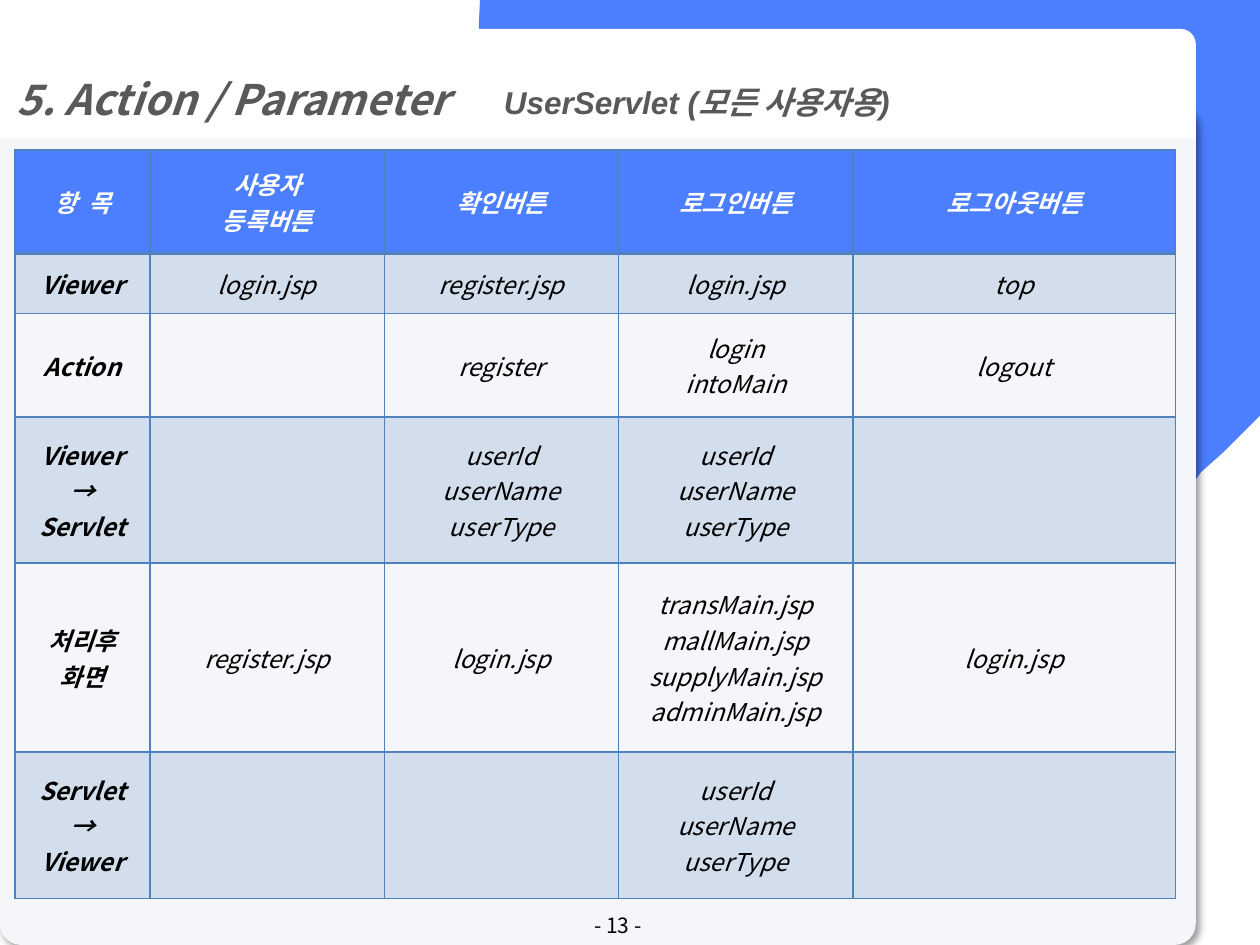
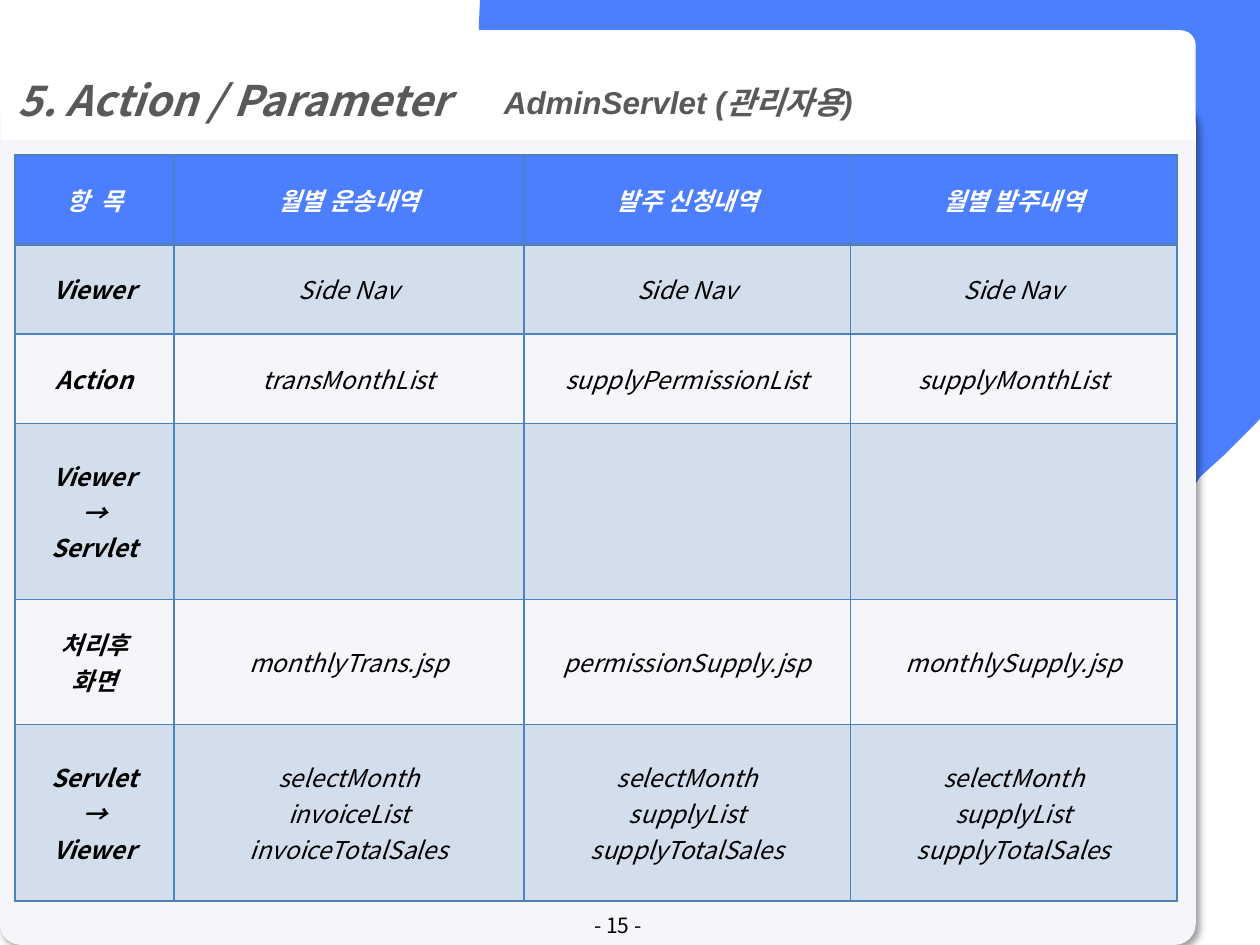
from lxml import etree
from pptx import Presentation
from pptx.dml.color import RGBColor
from pptx.enum.shapes import MSO_SHAPE
from pptx.enum.text import MSO_ANCHOR, MSO_AUTO_SIZE, PP_ALIGN
from pptx.oxml.ns import qn
from pptx.util import Inches, Pt

BLUE = RGBColor(0x4B, 0x7F, 0xFF)
BAND = RGBColor(0x4F, 0x81, 0xBD)
CARD = RGBColor(0xF5, 0xF6, 0xF9)
WHITE = RGBColor(0xFF, 0xFF, 0xFF)
BLACK = RGBColor(0, 0, 0)
GRAY = RGBColor(0x59, 0x59, 0x59)

FONT = "Noto Sans CJK KR"
SUBTITLE_FONT = "Arial"
LEFT, CENTER = PP_ALIGN.LEFT, PP_ALIGN.CENTER
MIDDLE = MSO_ANCHOR.MIDDLE
NO_AUTOFIT, GROW = MSO_AUTO_SIZE.NONE, MSO_AUTO_SIZE.SHAPE_TO_FIT_TEXT
ROUND_RECTANGLE = MSO_SHAPE.ROUNDED_RECTANGLE
ROUND_TOP = MSO_SHAPE.ROUND_2_SAME_RECTANGLE
TITLE_ONLY = 5

# Outline of the blue backdrop: points (x, y), or curves of three points
BACKDROP = [
    (10, 0), (10, 3.3), (9.72, 3.58), (9.53, 3.75), (9.49, 3.81),
    ((9.44, 3.87), (9.39, 3.92), (9.34, 3.97)), (6.43, 6.87),
    ((5.63, 7.66), (4.38, 7.71), (3.53, 7.02)), (3.37, 6.87), (3.22, 6.71),
    ((2.53, 5.86), (2.58, 4.62), (3.37, 3.83)), (4.88, 2.33), (4.54, 1.99),
    ((4.04, 1.5), (3.8, 0.86), (3.8, 0.21)), (3.81, 0),
]

ARROW = "\u2192"
TO_SERVLET = f"Viewer\n{ARROW}\nServlet"
TO_VIEWER = f"Servlet\n{ARROW}\nViewer"
RESULT = "처리후\n화면"
USER = "userId\nuserName\nuserType"
SUPPLY = "selectMonth\nsupplyList\nsupplyTotalSales"

USER_ROWS = [
    ["항  목", "사용자\n등록버튼", "확인버튼", "로그인버튼", "로그아웃버튼"],
    ["Viewer", "login.jsp", "register.jsp", "login.jsp", "top"],
    ["Action", "", "register", "login\nintoMain", "logout"],
    [TO_SERVLET, "", USER, USER, ""],
    [RESULT, "register.jsp", "login.jsp",
     "transMain.jsp\nmallMain.jsp\nsupplyMain.jsp\nadminMain.jsp", "login.jsp"],
    [TO_VIEWER, "", "", USER, ""],
]
ADMIN_ROWS = [
    ["항  목", "월별 운송내역", "발주 신청내역", "월별 발주내역"],
    ["Viewer", "Side Nav", "Side Nav", "Side Nav"],
    ["Action", "transMonthList", "supplyPermissionList", "supplyMonthList"],
    [TO_SERVLET, "", "", ""],
    [RESULT, "monthlyTrans.jsp", "permissionSupply.jsp", "monthlySupply.jsp"],
    [TO_VIEWER, "selectMonth\ninvoiceList\ninvoiceTotalSales", SUPPLY, SUPPLY],
]


def inches(*lengths):
    return [Inches(length) for length in lengths]


def format_text(frame, size, color, align, name=FONT, bold=False, italic=False,
                line_spacing=None):
    for paragraph in frame.paragraphs:
        paragraph.alignment = align
        paragraph.line_spacing = line_spacing
        font = paragraph.font
        font.name, font.size = name, Pt(size)
        font.bold, font.italic = bold, italic
        font.color.rgb = color
        # Korean glyphs take the East Asian font
        latin = paragraph._p.pPr.find(qn("a:defRPr")).find(qn("a:latin"))
        east_asian = etree.Element(qn("a:ea"), typeface=FONT)
        latin.addnext(east_asian)


def add_panel(slide, kind, box, color, adjustment):
    panel = slide.shapes.add_shape(kind, *inches(*box))
    panel.adjustments[0] = adjustment
    panel.shadow.inherit = False
    panel.fill.solid()
    panel.fill.fore_color.rgb = color
    panel.line.fill.background()
    return panel


def add_shadow(shape):
    effects = shape._element.spPr.find(qn("a:effectLst"))
    shadow = etree.SubElement(effects, qn("a:outerShdw"), blurRad=str(Pt(4)),
                              dist=str(Pt(3)), dir=str(45 * 60000),
                              algn="tl", rotWithShape="0")
    color = etree.SubElement(shadow, qn("a:srgbClr"), val=str(BLACK))
    etree.SubElement(color, qn("a:alpha"), val="40000")


def curve_points(start, controls, steps=12):
    """Points along a cubic curve, without its start."""
    points = (start, *controls)
    for step in range(1, steps + 1):
        t = step / steps
        weights = ((1 - t) ** 3, 3 * t * (1 - t) ** 2, 3 * t * t * (1 - t), t ** 3)
        yield tuple(sum(weight * point[axis] for weight, point in zip(weights, points))
                    for axis in (0, 1))


def add_backdrop(slide, stretch):
    outline = []
    for part in BACKDROP:
        if isinstance(part[0], tuple):
            outline.extend(curve_points(outline[-1], part))
        else:
            outline.append(part)
    points = [inches(x, y * stretch) for x, y in outline]
    builder = slide.shapes.build_freeform(*points[0])
    builder.add_line_segments(points[1:], close=True)
    shape = builder.convert_to_shape()
    shape.shadow.inherit = False
    shape.fill.solid()
    shape.fill.fore_color.rgb = BLUE
    shape.line.fill.background()


def add_header(slide, box, subtitle, subtitle_width):
    add_panel(slide, ROUND_TOP, box, WHITE, 0.137)

    # Title, brought in front of the panel
    title = slide.shapes.title
    title.left, title.top, title.width, title.height = inches(*box)
    slide.shapes._spTree.append(title._element)
    frame = title.text_frame
    frame.text = "5. Action / Parameter"
    frame.auto_size, frame.vertical_anchor = NO_AUTOFIT, MIDDLE
    frame.margin_left, frame.margin_top = inches(0.13, 0.08)
    format_text(frame, 24, GRAY, LEFT, bold=True, italic=True, line_spacing=1.5)

    # Subtitle
    text_box = slide.shapes.add_textbox(*inches(3.9, 0.46, subtitle_width, 0.56))
    frame = text_box.text_frame
    frame.text = subtitle
    frame.word_wrap, frame.auto_size = False, GROW
    format_text(frame, 18, GRAY, LEFT, SUBTITLE_FONT, True, True, 1.5)


def add_page_number(slide, number):
    frame = slide.shapes.add_textbox(*inches(3.74, 7.21, 2.33, 0.26)).text_frame
    frame.text = f"- {number} -"
    frame.word_wrap, frame.vertical_anchor = True, MIDDLE
    format_text(frame, 12, BLACK, CENTER)


def set_borders(cell, bottom_width):
    properties = cell._tc.get_or_add_tcPr()
    for side, width in (("L", 1), ("R", 1), ("T", 1), ("B", bottom_width)):
        line = etree.SubElement(properties, qn(f"a:ln{side}"), w=str(Pt(width)))
        fill = etree.SubElement(line, qn("a:solidFill"))
        etree.SubElement(fill, qn("a:srgbClr"), val=str(BAND))


def fill_cell(cell, row):
    if row and row % 2 == 0:
        cell.fill.background()
        return
    cell.fill.solid()
    cell.fill.fore_color.rgb = BAND if row else BLUE
    if row:
        color = cell._tc.tcPr.find(qn("a:solidFill"))[0]
        etree.SubElement(color, qn("a:alpha"), val="20000")


def add_parameter_table(slide, left, top, widths, heights, rows):
    table = slide.shapes.add_table(len(rows), len(widths),
                                   *inches(left, top, sum(widths), sum(heights))).table
    table.horz_banding = False
    for column, width in zip(table.columns, widths):
        column.width = Inches(width)
    for table_row, height in zip(table.rows, heights):
        table_row.height = Inches(height)
    for row, texts in enumerate(rows):
        for column, text in enumerate(texts):
            cell = table.cell(row, column)
            cell.text = text
            cell.vertical_anchor = MIDDLE
            cell.margin_left = cell.margin_right = Inches(0.04)
            cell.margin_top = cell.margin_bottom = Inches(0.05)
            set_borders(cell, 1 if row else 2)
            fill_cell(cell, row)
            format_text(cell.text_frame, 14, BLACK if row else WHITE, CENTER,
                        bold=row == 0 or column == 0, italic=True)


def add_parameter_slide(presentation, number, subtitle, subtitle_width, header_box,
                        stretch, table_top, widths, heights, rows):
    slide = presentation.slides.add_slide(presentation.slide_layouts[TITLE_ONLY])
    add_backdrop(slide, stretch)
    add_shadow(add_panel(slide, ROUND_RECTANGLE, (0, 0.83, 9.49, 6.67), CARD, 0.025))
    add_header(slide, header_box, subtitle, subtitle_width)
    add_parameter_table(slide, 0.12, table_top, widths, heights, rows)
    add_page_number(slide, number)


presentation = Presentation()
presentation.slide_width, presentation.slide_height = inches(10, 7.5)

add_parameter_slide(
    presentation, 13, "UserServlet (모든 사용자용)", 3.45, (0, 0.23, 9.49, 0.87),
    1, 1.19, [1.07, 1.86, 1.86, 1.86, 2.56],
    [0.82, 0.48, 0.82, 1.16, 1.5, 1.16], USER_ROWS)
add_parameter_slide(
    presentation, 15, "AdminServlet (관리자용)", 3.11, (0.01, 0.24, 9.48, 0.87),
    1.008, 1.23, [1.26, 2.78, 2.59, 2.59],
    [0.71, 0.71, 0.71, 1.4, 0.99, 1.4], ADMIN_ROWS)

presentation.save("out.pptx")
